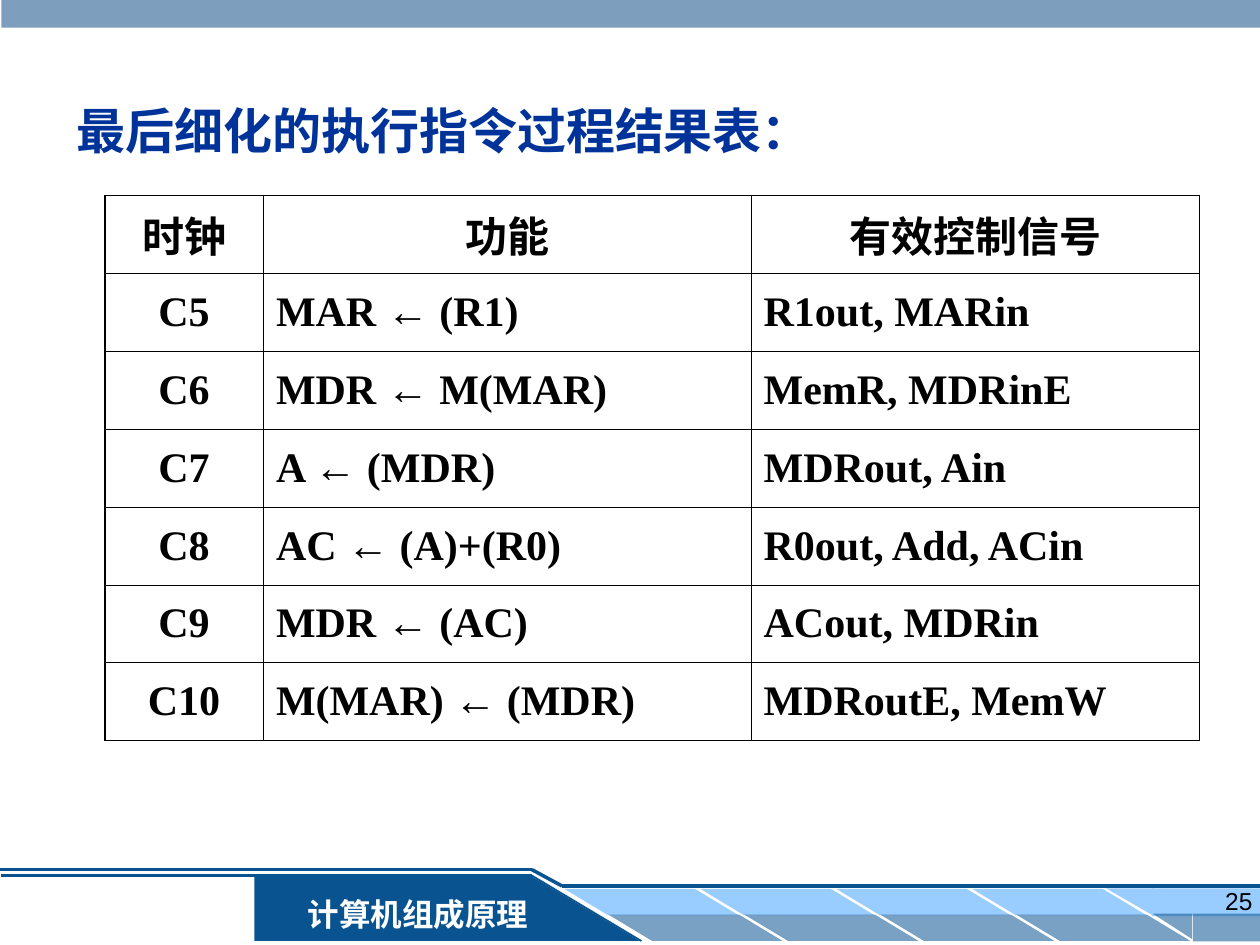
from lxml import etree
from pptx import Presentation
from pptx.dml.color import RGBColor
from pptx.enum.shapes import MSO_CONNECTOR, MSO_SHAPE
from pptx.enum.text import MSO_ANCHOR, PP_ALIGN
from pptx.oxml.ns import qn
from pptx.util import Cm, Pt

RECTANGLE, TRIANGLE = MSO_SHAPE.RECTANGLE, MSO_SHAPE.RIGHT_TRIANGLE
PARALLELOGRAM, STRAIGHT = MSO_SHAPE.PARALLELOGRAM, MSO_CONNECTOR.STRAIGHT
LEFT, CENTER, RIGHT = PP_ALIGN.LEFT, PP_ALIGN.CENTER, PP_ALIGN.RIGHT
TOP, MIDDLE = MSO_ANCHOR.TOP, MSO_ANCHOR.MIDDLE

# Content
TITLE = "最后细化的执行指令过程结果表："
COURSE = "计算机组成原理"
PAGE_NUMBER = "25"
HEADER = ("时钟", "功能", "有效控制信号")
STEPS = [
    ("C5", "MAR ← (R1)", "R1out, MARin"),
    ("C6", "MDR ← M(MAR)", "MemR, MDRinE"),
    ("C7", "A ← (MDR)", "MDRout, Ain"),
    ("C8", "AC ← (A)+(R0)", "R0out, Add, ACin"),
    ("C9", "MDR ← (AC)", "ACout, MDRin"),
    ("C10", "M(MAR) ← (MDR)", "MDRoutE, MemW"),
]

# Style
COLORS = {"navy": "095391", "sky": "99CCFF", "steel": "336699",
          "title": "003399", "black": "000000", "white": "FFFFFF"}
SERIF, SANS, CHINESE = "Times New Roman", "Arial", "Noto Sans CJK SC"
TITLE_FONT = {"name": SERIF, "size": Pt(28), "bold": True, "color": "title"}
COURSE_FONT = {"name": SERIF, "size": Pt(18), "bold": True, "color": "white"}
NUMBER_FONT = {"name": SANS, "size": Pt(14), "bold": False, "color": "black"}
HEADER_FONT = {"name": CHINESE, "size": Pt(24), "bold": True, "color": "black"}
CELL_FONT = {**HEADER_FONT, "name": SERIF}

# Layout in centimetres
TABLE_LEFT, TABLE_TOP, ROW_HEIGHT = 2.11, 3.94, 1.57
COLUMN_WIDTHS = (3.2, 9.83, 9.04)
THICK, THIN = 1.08, 0.45
TILE_COUNT, TILE_LEFT, TILE_STEP = 4, 11.38, 2.74
TILE_WIDTH, TILE_HEIGHT, TILE_SLANT = 3.51, 0.53, 1.657
TILE_ROWS = [(0, 17.92, "sky", 100), (0.89, 18.44, "navy", 54)]
# kind, box, colour, opacity in percent, rotation
BLOCKS = [
    (RECTANGLE, (5.13, 17.65, 5.59, 1.32), "navy", 100, 0),
    (TRIANGLE, (10.69, 17.65, 2.21, 1.32), "navy", 100, 0),
    (RECTANGLE, (23.22, 17.91, 2.18, 0.56), "sky", 100, 0),
    (TRIANGLE, (22.3, 17.91, 0.97, 0.56), "sky", 100, 180),
    (RECTANGLE, (24.05, 18.42, 1.37, 0.56), "navy", 54, 0),
    (TRIANGLE, (23.24, 18.42, 0.79, 0.51), "navy", 54, 180),
    (RECTANGLE, (0.03, -0.08, 25.4, 0.64), "steel", 63, 0),
]
# start, end, width in points
LINES = [
    ((12.93, 18.97), (10.72, 17.65), 1),
    ((10.72, 17.65), (0.03, 17.65), 1.5),
    ((-0.03, 17.53), (10.72, 17.53), 2),
    ((10.72, 17.53), (11.33, 17.86), 2),
    ((11.33, 17.86), (25.42, 17.86), 2),
]


def rgb(name):
    return RGBColor.from_string(COLORS[name])


def add_block(slide, kind, box, color, opacity=100, rotation=0):
    shape = slide.shapes.add_shape(kind, *map(Cm, box))
    shape.shadow.inherit = False
    shape.rotation = rotation
    shape.line.fill.background()
    shape.fill.solid()
    shape.fill.fore_color.rgb = rgb(color)
    if opacity < 100:
        fill_color = shape.element.spPr.find(".//" + qn("a:srgbClr"))
        etree.SubElement(fill_color, qn("a:alpha"), val=str(opacity * 1000))
    return shape


def add_line(slide, start, end, width):
    line = slide.shapes.add_connector(STRAIGHT, *map(Cm, start + end))
    line.line.color.rgb = rgb("navy")
    line.line.width = Pt(width)
    etree.SubElement(line.element.spPr, qn("a:effectLst"))


def write(frame, text, style, alignment):
    paragraph = frame.paragraphs[0]
    paragraph.alignment = alignment
    run = paragraph.add_run()
    run.text = text
    for name, value in style.items():
        if name == "color":
            run.font.color.rgb = rgb(value)
        else:
            setattr(run.font, name, value)
    etree.SubElement(run.font._element, qn("a:ea"), typeface=CHINESE)


def add_text(slide, box, text, style, alignment, anchor):
    frame = slide.shapes.add_textbox(*map(Cm, box)).text_frame
    frame.word_wrap = True
    frame.vertical_anchor = anchor
    write(frame, text, style, alignment)


def set_borders(cell, widths):
    properties = cell._tc.get_or_add_tcPr()
    for side, width in widths.items():
        border = etree.SubElement(properties, qn("a:ln" + side), w=str(int(Pt(width))))
        fill = etree.SubElement(border, qn("a:solidFill"))
        etree.SubElement(fill, qn("a:srgbClr"), val=COLORS["black"])


def add_footer(slide):
    for kind, box, color, opacity, rotation in BLOCKS:
        add_block(slide, kind, box, color, opacity, rotation)
    for index in range(TILE_COUNT):
        for offset, top, color, opacity in TILE_ROWS:
            left = TILE_LEFT + index * TILE_STEP + offset
            tile = add_block(slide, PARALLELOGRAM,
                             (left, top, TILE_WIDTH, TILE_HEIGHT), color, opacity)
            tile.adjustments[0] = TILE_SLANT
            tile.element.spPr.find(qn("a:xfrm")).set("flipH", "1")
    for start, end, width in LINES:
        add_line(slide, start, end, width)


def add_step_table(slide):
    rows = [HEADER] + STEPS
    last_row, last_column = len(rows) - 1, len(HEADER) - 1
    box = (TABLE_LEFT, TABLE_TOP, sum(COLUMN_WIDTHS), ROW_HEIGHT * len(rows))
    table = slide.shapes.add_table(len(rows), len(HEADER), *map(Cm, box)).table
    table.first_row = table.horz_banding = False
    for column, width in zip(table.columns, COLUMN_WIDTHS):
        column.width = Cm(width)
    for r, texts in enumerate(rows):
        table.rows[r].height = Cm(ROW_HEIGHT)
        for c, text in enumerate(texts):
            cell = table.cell(r, c)
            cell.vertical_anchor = MIDDLE
            set_borders(cell, {
                "L": THICK if c == 0 else THIN,
                "R": THICK if c == last_column else THIN,
                "T": THICK if r == 0 else THIN,
                "B": THICK if r == last_row else THIN,
            })
            cell.fill.background()
            write(cell.text_frame, text, HEADER_FONT if r == 0 else CELL_FONT,
                  CENTER if r == 0 or c == 0 else LEFT)


def main():
    presentation = Presentation()
    presentation.slide_width, presentation.slide_height = Cm(25.4), Cm(19.05)
    slide = presentation.slides.add_slide(presentation.slide_layouts[6])
    add_footer(slide)
    add_text(slide, (5.82, 17.91, 5.21, 1.02), COURSE, COURSE_FONT, CENTER, MIDDLE)
    add_text(slide, (19.58, 17.73, 5.92, 1.32), PAGE_NUMBER, NUMBER_FONT, RIGHT, TOP)
    add_text(slide, (1.3, 1.52, 22.86, 2.21), TITLE, TITLE_FONT, LEFT, MIDDLE)
    add_step_table(slide)
    presentation.save("out.pptx")


if __name__ == "__main__":
    main()
